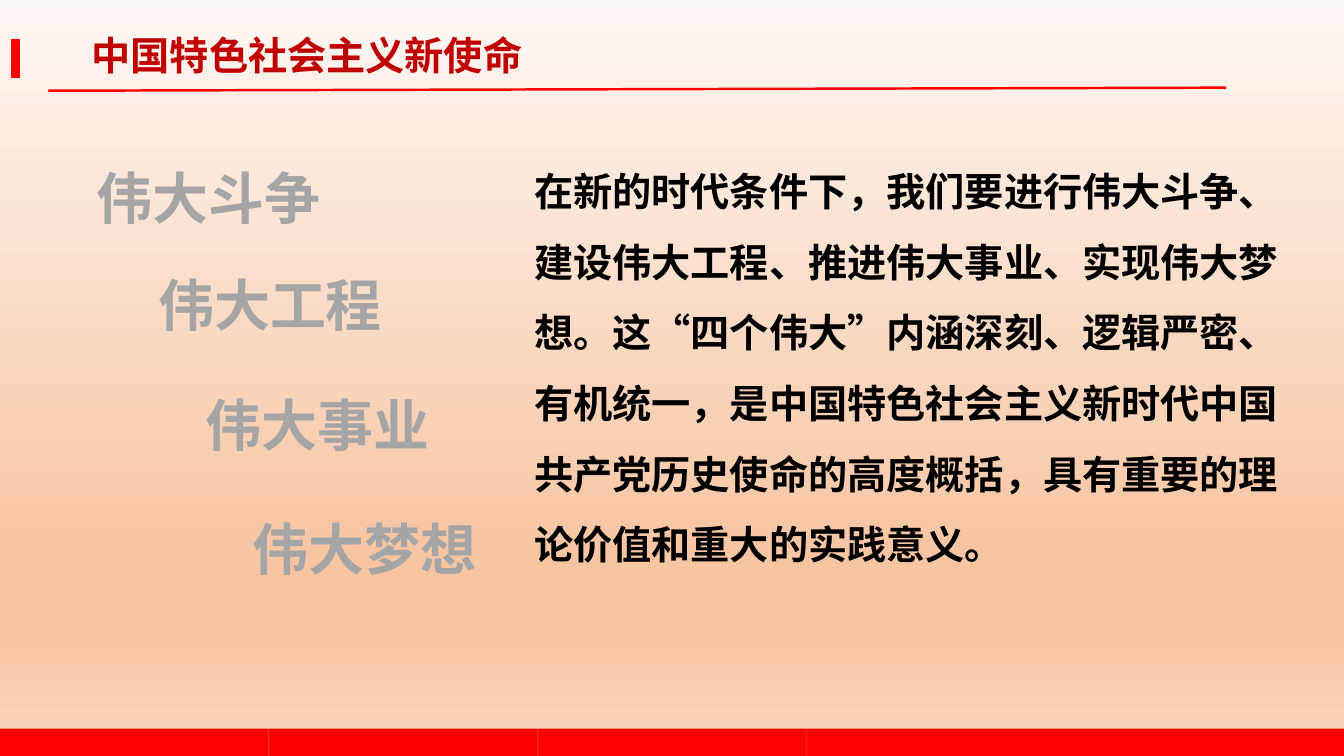
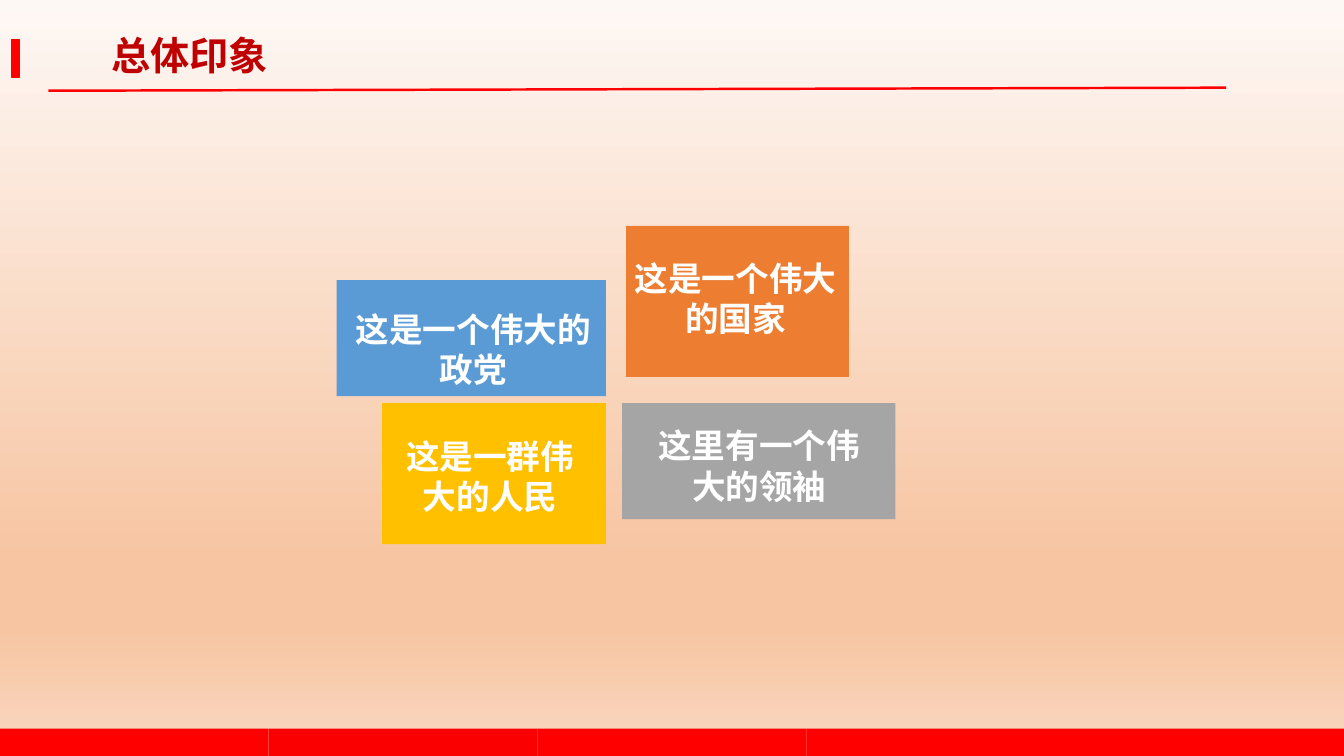
from typing import NamedTuple

from lxml.etree import SubElement
from pptx import Presentation
from pptx.dml.color import RGBColor
from pptx.enum.shapes import MSO_CONNECTOR, MSO_SHAPE
from pptx.enum.text import MSO_ANCHOR, MSO_AUTO_SIZE, PP_ALIGN
from pptx.oxml.ns import qn
from pptx.util import Inches, Pt

FONT = "Noto Sans CJK SC"
RED, TITLE, WHITE, BLACK = "FF0000", "C00000", "FFFFFF", "000000"
BANDS = [RED, "FA0000", RED, RED, RED]
WIDTH, HEIGHT = 13.33, 7.5
BAND_TOP = 7.23

Stops = list[tuple[int, str]]
PAPER: Stops = [(0, "FEF8F5"), (74, "F7C5A2"), (83, "F7C5A2"), (100, "FAD8C1")]
RAINBOW: Stops = [(0, "4472C4"), (44, "A5A5A5"), (74, "FFC000"), (94, "5B9BD5")]


class Box(NamedTuple):
    left: float
    top: float
    width: float
    height: float

    def emu(self) -> list:
        return [Inches(value) for value in self]


class Style(NamedTuple):
    size: int
    color: str | Stops
    align: PP_ALIGN = PP_ALIGN.LEFT
    space: float = 1.0


class Pad(NamedTuple):
    left: float = 0.1
    top: float = 0.05
    right: float = 0.1
    bottom: float = 0.05


class Card(NamedTuple):
    box: Box
    fill: str
    text: str
    pad: Pad


HEAD = Style(28, TITLE, PP_ALIGN.CENTER)
BODY = Style(28, BLACK, space=1.5)
GREAT = Style(40, RAINBOW, PP_ALIGN.JUSTIFY, 1.5)
LABEL = Style(24, WHITE, PP_ALIGN.CENTER)
NO_PAD = Pad(0, 0, 0, 0)

STEPS = [
    (0.86, 1.24, "伟大斗争"),
    (1.47, 2.3, "伟大工程"),
    (1.94, 3.49, "伟大事业"),
    (2.41, 4.72, "伟大梦想"),
]
CARDS = [
    Card(Box(3.34, 2.78, 2.67, 1.15), "5B9BD5", "这是一个伟大的政党",
         Pad(0.11, 0.28, 0.07, 0)),
    Card(Box(6.17, 4, 2.71, 1.15), "A5A5A5", "这里有一个伟大的领袖",
         Pad(0.23, 0.22, 0.22, 0)),
    Card(Box(6.21, 2.24, 2.21, 1.5), "ED7D31", "这是一个伟大的国家",
         Pad(0.04, 0.32, 0.08, 0)),
    Card(Box(3.79, 4, 2.22, 1.4), "FFC000", "这是一群伟大的人民",
         Pad(0.09, 0.32, 0.17, 0)),
]
THEME = (
    "在新的时代条件下，我们要进行伟大斗争、建设伟大工程、推进伟大事业、实现伟大梦想。"
    "这“四个伟大”内涵深刻、逻辑严密、有机统一，是中国特色社会主义新时代中国共产党"
    "历史使命的高度概括，具有重要的理论价值和重大的实践意义。"
)


def paint(fill, color: str) -> None:
    fill.solid()
    fill.fore_color.rgb = RGBColor.from_string(color)


def blend(fill, host, stops: Stops, angle: int) -> None:
    """Give host a gradient; the angle counts anticlockwise."""
    fill.gradient()
    fill.gradient_angle = angle
    group = next(host.iter(qn("a:gsLst")))
    group.clear()
    for place, color in stops:
        stop = SubElement(group, qn("a:gs"), pos=str(place * 1000))
        SubElement(stop, qn("a:srgbClr"), val=color)


def write(frame, text: str, style: Style, pad: Pad) -> None:
    layout = {"word_wrap": True, "vertical_anchor": MSO_ANCHOR.TOP}
    layout |= {f"margin_{side}": Inches(gap) for side, gap in pad._asdict().items()}
    para = frame.paragraphs[0]
    run = para.add_run()
    run.text = text
    formats = [
        (frame, layout),
        (para, {"alignment": style.align, "line_spacing": style.space}),
        (run.font, {"name": FONT, "size": Pt(style.size), "bold": True}),
    ]
    for target, values in formats:
        for name, value in values.items():
            setattr(target, name, value)
    props = run._r.get_or_add_rPr()
    props.set("lang", "zh-CN")
    SubElement(props, qn("a:ea"), typeface=FONT)
    if isinstance(style.color, str):
        paint(run.font.fill, style.color)
    else:
        blend(run.font.fill, props, style.color, 315)


def add_text(slide, box: Box, text: str, style: Style, pad: Pad = Pad()) -> None:
    frame = slide.shapes.add_textbox(*box.emu()).text_frame
    write(frame, text, style, pad)
    frame.auto_size = MSO_AUTO_SIZE.SHAPE_TO_FIT_TEXT


def add_rect(slide, box: Box, color: str):
    shape = slide.shapes.add_shape(MSO_SHAPE.RECTANGLE, *box.emu())
    shape.shadow.inherit = False
    paint(shape.fill, color)
    shape.line.fill.background()
    return shape


def add_rule(slide) -> None:
    ends = [Inches(value) for value in (0.48, 0.9, 12.16, 0.87)]
    rule = slide.shapes.add_connector(MSO_CONNECTOR.STRAIGHT, *ends)
    paint(rule.line.fill, RED)
    rule.line.width = Pt(1.75)
    SubElement(rule._element.spPr, qn("a:effectLst"))


def add_page(deck, layout, title: str, box: Box):
    """Add a slide with the shared title, marker, rule and bottom band."""
    slide = deck.slides.add_slide(layout)
    add_text(slide, box, title, HEAD, NO_PAD)
    mark = add_rect(slide, Box(0.12, 0.39, 0.07, 0.38), RED)
    paint(mark.line.fill, RED)
    mark.line.width = Pt(1)
    add_rule(slide)
    step = WIDTH / len(BANDS)
    for index, color in enumerate(BANDS):
        add_rect(slide, Box(index * step, BAND_TOP, step, HEIGHT - BAND_TOP), color)
    return slide


def add_task(deck, layout) -> None:
    slide = add_page(deck, layout, "中国特色社会主义新使命", Box(0.26, 0.31, 5.57, 0.47))
    add_text(slide, Box(5.2, 1.38, 7.68, 4.23), THEME, BODY)
    for left, top, text in STEPS:
        add_text(slide, Box(left, top, 2.6, 1.11), text, GREAT)


def add_view(deck, layout) -> None:
    slide = add_page(deck, layout, "总体印象", Box(0.15, 0.31, 3.46, 0.47))
    for card in CARDS:
        shape = add_rect(slide, card.box, card.fill)
        write(shape.text_frame, card.text, LABEL, card.pad)


def main() -> None:
    deck = Presentation()
    deck.slide_width, deck.slide_height = Inches(WIDTH), Inches(HEIGHT)
    blank = deck.slide_layouts[6]
    blend(blank.background.fill, blank._element, PAPER, 270)
    add_task(deck, blank)
    add_view(deck, blank)
    deck.save("out.pptx")


if __name__ == "__main__":
    main()
